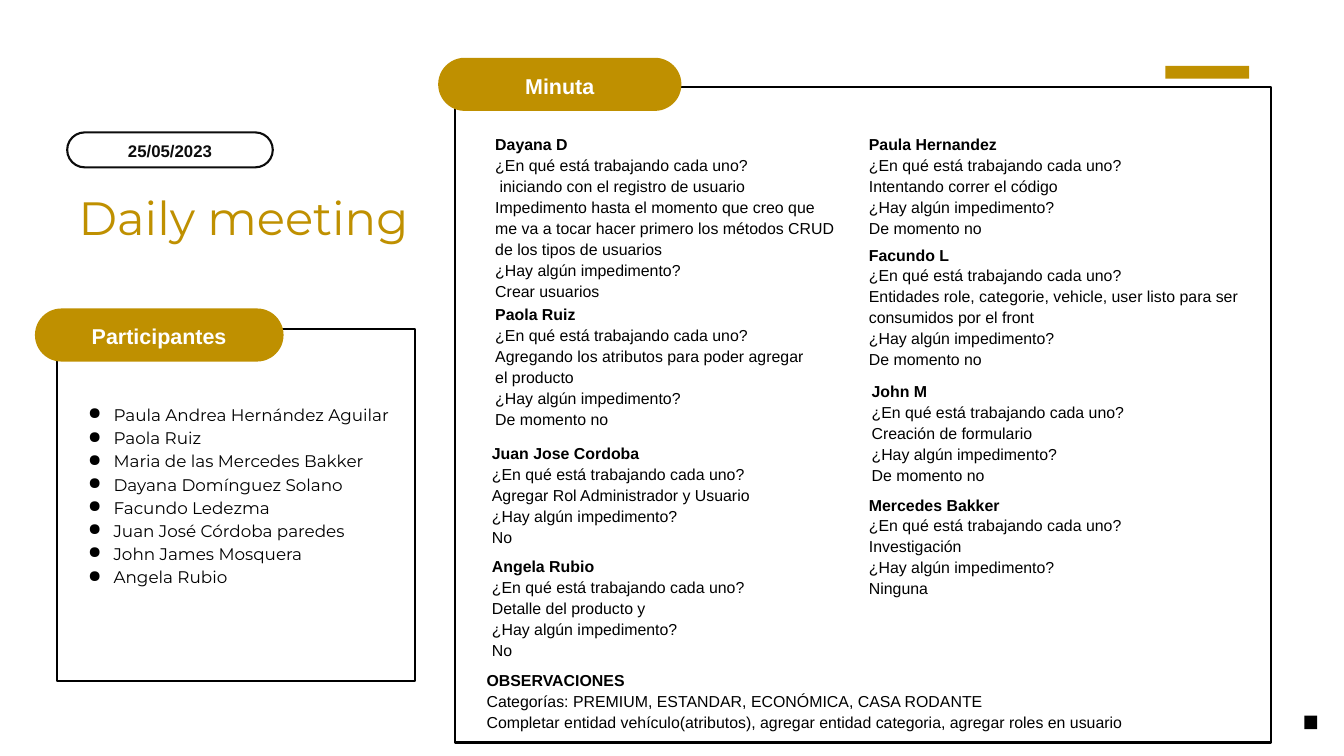
import pptx
import pptx.util
import pptx.dml.color
import pptx.enum.shapes
import pptx.enum.text
import pptx.oxml.ns
from lxml import etree

COLORS = {"gold": "BF9000", "black": "000000", "ink": "0C0C0C", "white": "FFFFFF"}
CELL = 0.25  # the page is a grid of 80 columns by 45 rows
COLUMNS, ROWS = 80, 45
LINE_ROWS = 1.24  # height of one line of a note
SHAPES = pptx.enum.shapes.MSO_SHAPE
ALIGN = pptx.enum.text.PP_ALIGN
MIDDLE = pptx.enum.text.MSO_ANCHOR.MIDDLE
qn = pptx.oxml.ns.qn

WORK = "¿En qué está trabajando cada uno?"
BLOCK = "¿Hay algún impedimento?"
CLEAR = "De momento no"
PARTICIPANTS = [
    "Paula Andrea Hernández Aguilar", "Paola Ruiz", "Maria de las Mercedes Bakker",
    "Dayana Domínguez Solano", "Facundo Ledezma", "Juan José Córdoba paredes",
    "John James Mosquera", "Angela Rubio",
]
# Column, row, width and line count inside the minutes panel, then the paragraphs
NOTES = [
    (2.4, 2.72, 20.56, 8, ["Dayana D", WORK, " iniciando con el registro de usuario",
     "Impedimento hasta el momento que creo que me va a tocar hacer primero "
     "los métodos CRUD de los tipos de usuarios\v" + BLOCK, "Crear usuarios"]),
    (2.4, 12.84, 20.56, 6, ["Paola Ruiz", WORK,
     "Agregando los atributos para poder agregar\vel producto", BLOCK, CLEAR]),
    (2.2, 21.12, 21.04, 5, ["Juan Jose Cordoba", WORK,
     "Agregar Rol Administrador y Usuario", BLOCK, "No"]),
    (2.2, 27.84, 21.04, 5, ["Angela Rubio", WORK, "Detalle del producto y", BLOCK, "No"]),
    (24.64, 2.72, 24.12, 5, ["Paula Hernandez", WORK,
     "Intentando correr el código\v" + BLOCK, CLEAR]),
    (24.64, 9.28, 23.76, 6, ["Facundo L", WORK,
     "Entidades role, categorie, vehicle, user listo para ser\vconsumidos por el front",
     BLOCK, CLEAR]),
    (24.8, 17.4, 23.76, 5, ["John M", WORK, "Creación de formulario\v" + BLOCK, CLEAR]),
    (24.64, 24.16, 21.04, 5, ["Mercedes Bakker", WORK, "Investigación\v" + BLOCK, "Ninguna"]),
    (1.88, 34.6, 45.4, 3, ["OBSERVACIONES",
     "Categorías: PREMIUM, ESTANDAR, ECONÓMICA, CASA RODANTE",
     "Completar entidad vehículo(atributos), agregar entidad categoria, "
     "agregar roles en usuario"]),
]


def color(name):
    return pptx.dml.color.RGBColor.from_string(COLORS[name])


def inside(box, column, row, columns, rows):
    """Grid box whose column and row count from the corner of another box."""
    return box[0] + column, box[1] + row, columns, rows


def lengths(box):
    return [pptx.util.Inches(cells * CELL) for cells in box]


def style(para, size, hue, font="Arial", bold=False, spacing=1.1):
    para.line_spacing = spacing
    for line_break in para._p.findall(qn("a:br")):
        etree.SubElement(line_break, qn("a:rPr"), sz=str(size * 100))
    for span in para.runs:
        span.font.name = font
        span.font.size = pptx.util.Pt(size)
        span.font.bold = bold
        span.font.color.rgb = color(hue)


def set_margins(frame, inches=0):
    frame.margin_left = frame.margin_right = pptx.util.Inches(inches)
    frame.margin_top = frame.margin_bottom = pptx.util.Inches(inches)


def add_shape(page, kind, box, fill=None, line=None):
    shape = page.shapes.add_shape(kind, *lengths(box))
    shape.shadow.inherit = False
    if fill:
        shape.fill.solid()
        shape.fill.fore_color.rgb = color(fill)
    else:
        shape.fill.background()
    if line:
        shape.line.color.rgb = color(line)
        shape.line.width = pptx.util.Pt(2.25)
    else:
        shape.line.fill.background()
    return shape


def add_pill(page, box, text, size, hue, fill, line=None):
    pill = add_shape(page, SHAPES.ROUNDED_RECTANGLE, box, fill, line)
    pill.adjustments[0] = 0.5
    frame = pill.text_frame
    set_margins(frame)
    frame.vertical_anchor = MIDDLE
    frame.text = text
    frame.paragraphs[0].alignment = ALIGN.CENTER
    style(frame.paragraphs[0], size, hue, bold=True)


def add_text(page, box, lines):
    frame = page.shapes.add_textbox(*lengths(box)).text_frame
    frame.word_wrap = True
    set_margins(frame)
    for index, line in enumerate(lines):
        para = frame.add_paragraph() if index else frame.paragraphs[0]
        para.text = line
    return frame.paragraphs


def add_bullet(para):
    properties = para._p.get_or_add_pPr()
    properties.set("marL", str(pptx.util.Inches(0.5)))
    properties.set("indent", str(pptx.util.Inches(-0.38)))
    tint = etree.SubElement(properties, qn("a:buClr"))
    etree.SubElement(tint, qn("a:srgbClr"), val=COLORS["black"])
    etree.SubElement(properties, qn("a:buChar"), char="●")


def add_heading(page, box):
    # Date above the title
    add_pill(page, inside(box, 0, 0, 12.24, 2.08), "25/05/2023", 18, "ink", "white", "ink")
    title = page.shapes.title
    title.left, title.top, title.width, title.height = lengths(
        inside(box, 0.28, 3.36, 21.32, 3.36))
    frame = title.text_frame
    frame.text = "Daily meeting"
    frame.auto_size = pptx.enum.text.MSO_AUTO_SIZE.NONE
    frame.vertical_anchor = MIDDLE
    set_margins(frame, 0.1)
    frame.paragraphs[0].alignment = ALIGN.LEFT
    style(frame.paragraphs[0], 50, "gold", "Montserrat", spacing=1.0)


def add_participants(page, box):
    add_shape(page, SHAPES.RECTANGLE, box, line="black")
    add_pill(page, inside(box, -1.32, -1.2, 14.8, 3.16), "Participantes", 23, "white", "gold")
    for para in add_text(page, inside(box, 1.36, 4.36, 18.6, 12.28), PARTICIPANTS):
        add_bullet(para)
        style(para, 18, "black", "Montserrat", spacing=1.15)


def add_minutes(page, box):
    add_shape(page, SHAPES.RECTANGLE, box, line="black")
    add_pill(page, inside(box, -1, -1.76, 14.48, 3.16), "Minuta", 23, "white", "gold")
    for column, row, width, line_count, lines in NOTES:
        area = inside(box, column, row, width, line_count * LINE_ROWS)
        for index, para in enumerate(add_text(page, area, lines)):
            style(para, 17, "black", bold=index == 0)


def add_accents(page, box):
    # Gold bar at the top, black square at the bottom corner
    add_shape(page, SHAPES.RECTANGLE, inside(box, 69.36, 3.92, 5, 0.76), "gold")
    add_shape(page, SHAPES.RECTANGLE, inside(box, 77.64, 42.6, 0.76, 0.8), "black")


def main():
    deck = pptx.Presentation()
    deck.slide_width, deck.slide_height = lengths((COLUMNS, ROWS))
    page = deck.slides.add_slide(deck.slide_layouts[5])
    add_accents(page, (0, 0, COLUMNS, ROWS))
    add_heading(page, (4, 7.88, 21.6, 6.72))
    add_participants(page, (3.4, 19.56, 21.32, 20.96))
    add_minutes(page, (27.08, 5.2, 48.56, 39))
    deck.save("out.pptx")


if __name__ == "__main__":
    main()
